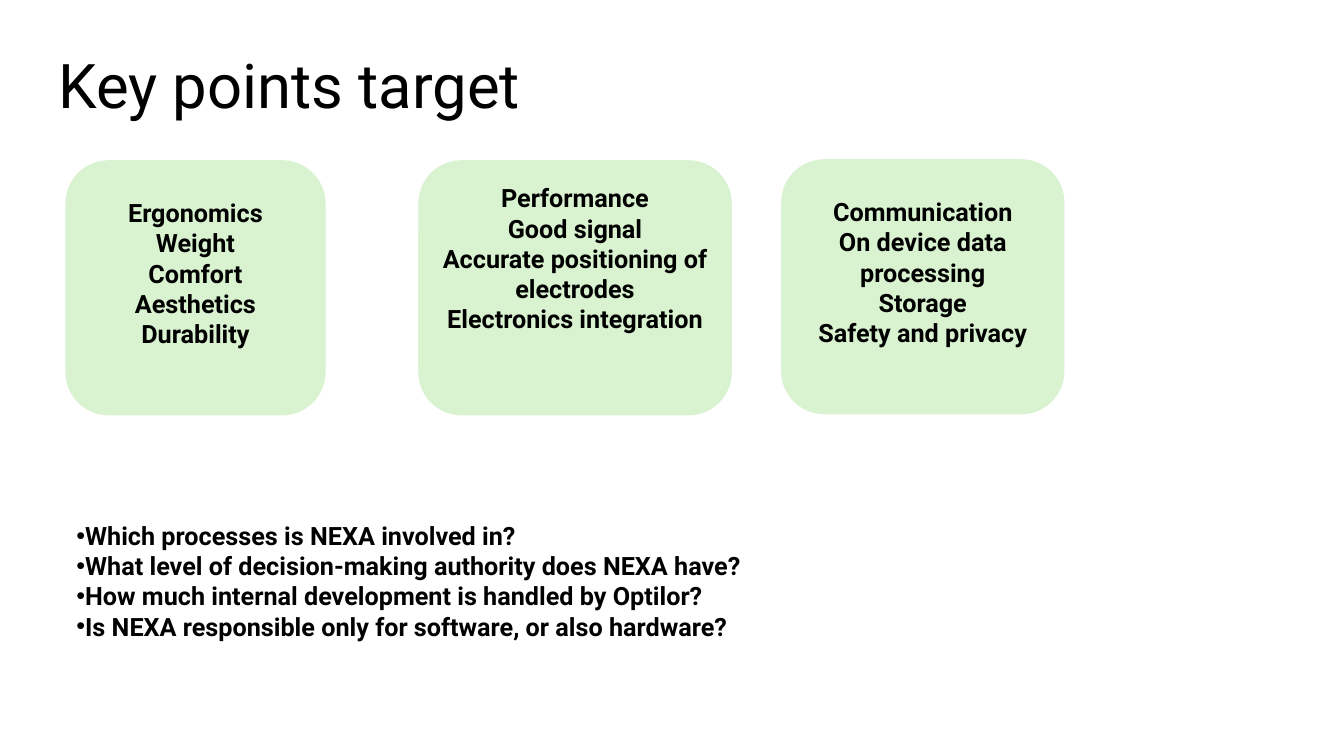
from pptx import Presentation
from pptx.dml.color import RGBColor
from pptx.enum.shapes import MSO_SHAPE
from pptx.enum.text import MSO_ANCHOR, PP_ALIGN
from pptx.util import Pt
from lxml import etree

ROUNDED = MSO_SHAPE.ROUNDED_RECTANGLE
TOP, MIDDLE = MSO_ANCHOR.TOP, MSO_ANCHOR.MIDDLE
LEFT, CENTER = PP_ALIGN.LEFT, PP_ALIGN.CENTER
DRAWING = "{http://schemas.openxmlformats.org/drawingml/2006/main}"

COLORS = {"text": "000000", "card": "D9F2D0"}
FONT = "Roboto"
BODY_SIZE = 18
LINE_HEIGHT = 21
INSET = 3.6

CARDS = [
    (47.5, 115.2, 184.3, 1,
     ["Ergonomics", "Weight", "Comfort", "Aesthetics", "Durability"]),
    (299.5, 115.2, 222.5, 2,
     ["Performance", "Good signal", "Accurate positioning of electrodes",
      "Electronics integration"]),
    (558.7, 114.5, 200.9, 1,
     ["Communication", "On device data processing", "Storage",
      "Safety and privacy"]),
]
CARD_HEIGHT = 180.7

QUESTIONS = [
    "Which processes is NEXA involved in?",
    "What level of decision-making authority does NEXA have?",
    "How much internal development is handled by Optilor?",
    "Is NEXA responsible only for software, or also hardware?",
]


class SlideBuilder:
    """Draws styled elements on the current slide."""

    def __init__(self, page):
        self.page = page

    def fill_text(self, box, lines, size=BODY_SIZE, bold=True, align=LEFT,
                  anchor=TOP, bullet=None, spacing=None):
        frame = box.text_frame
        frame.word_wrap = True
        frame.vertical_anchor = anchor
        for index, line in enumerate(lines):
            para = frame.add_paragraph() if index else frame.paragraphs[0]
            para.alignment = align
            if spacing:
                para.line_spacing = spacing
            if bullet:
                properties = para._p.get_or_add_pPr()
                properties.set("marL", "0")
                properties.set("indent", "0")
                etree.SubElement(properties, DRAWING + "buFont", typeface="Arial")
                etree.SubElement(properties, DRAWING + "buChar", char=bullet)
            span = para.add_run()
            span.text = line
            span.font.name = FONT
            span.font.size = Pt(size)
            span.font.bold = bold
            span.font.color.rgb = RGBColor.from_string(COLORS["text"])

    def text(self, left, top, width, height, lines, **style):
        box = self.page.shapes.add_textbox(Pt(left), Pt(top), Pt(width), Pt(height))
        self.fill_text(box, lines, **style)

    def card(self, left, top, width, height, lines, lines_below):
        box = self.page.shapes.add_shape(
            ROUNDED, Pt(left), Pt(top), Pt(width), Pt(height))
        box.shadow.inherit = False
        color = RGBColor.from_string(COLORS["card"])
        box.fill.solid()
        box.fill.fore_color.rgb = color
        box.line.color.rgb = color
        box.line.width = Pt(1.5)
        box.text_frame.margin_bottom = Pt(INSET + lines_below * LINE_HEIGHT)
        self.fill_text(box, lines, align=CENTER, anchor=MIDDLE)


def main():
    deck = Presentation()
    deck.slide_width, deck.slide_height = Pt(960), Pt(540)
    builder = SlideBuilder(deck.slides.add_slide(deck.slide_layouts[6]))
    builder.text(34.5, 10.8, 828, 104.4, ["Key points target"],
                 size=44, bold=False, anchor=MIDDLE, spacing=0.9)
    for left, top, width, lines_below, lines in CARDS:
        builder.card(left, top, width, CARD_HEIGHT, lines, lines_below)
    builder.text(47.5, 368, 632, 116.6, QUESTIONS, bullet="•")
    deck.save("out.pptx")


if __name__ == "__main__":
    main()
